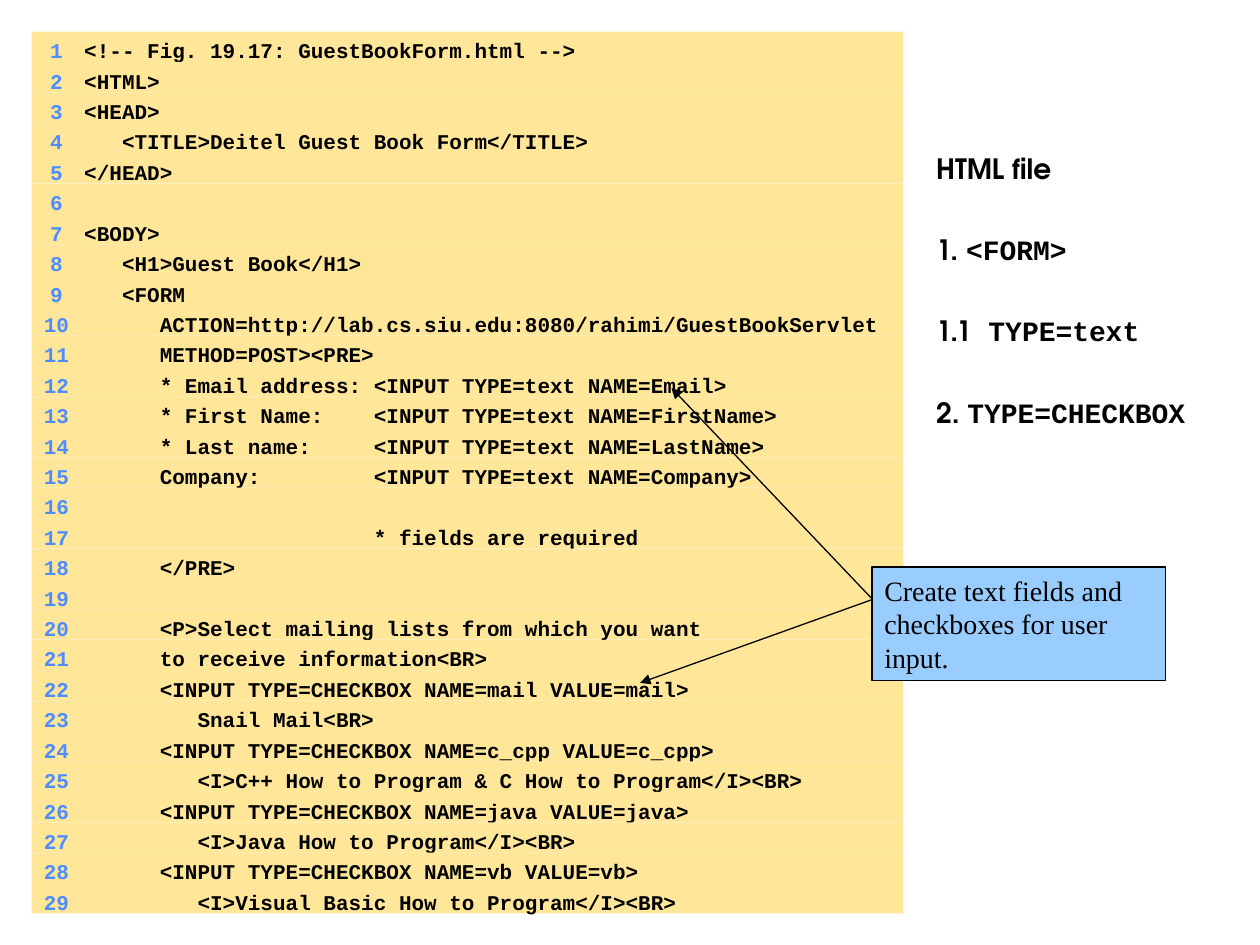
from lxml import etree
from pptx import Presentation
from pptx import util as u
from pptx.dml.color import RGBColor
from pptx.enum import shapes, text
from pptx.oxml.ns import qn

CODE = [
    "<!-- Fig. 19.17: GuestBookForm.html -->",
    "<HTML>",
    "<HEAD>",
    "   <TITLE>Deitel Guest Book Form</TITLE>",
    "</HEAD>",
    "",
    "<BODY>",
    "   <H1>Guest Book</H1>",
    "   <FORM",
    "      ACTION=http://lab.cs.siu.edu:8080/rahimi/GuestBookServlet",
    "      METHOD=POST><PRE>",
    "      * Email address: <INPUT TYPE=text NAME=Email>",
    "      * First Name:    <INPUT TYPE=text NAME=FirstName>",
    "      * Last name:     <INPUT TYPE=text NAME=LastName>",
    "      Company:         <INPUT TYPE=text NAME=Company>",
    "",
    "                       * fields are required",
    "      </PRE>",
    "",
    "      <P>Select mailing lists from which you want",
    "      to receive information<BR>",
    "      <INPUT TYPE=CHECKBOX NAME=mail VALUE=mail>",
    "         Snail Mail<BR>",
    "      <INPUT TYPE=CHECKBOX NAME=c_cpp VALUE=c_cpp>",
    "         <I>C++ How to Program & C How to Program</I><BR>",
    "      <INPUT TYPE=CHECKBOX NAME=java VALUE=java>",
    "         <I>Java How to Program</I><BR>",
    "      <INPUT TYPE=CHECKBOX NAME=vb VALUE=vb>",
    "         <I>Visual Basic How to Program</I><BR>",
]
OUTLINE = [("HTML file", ""), ("1. ", "<FORM>"), ("1.1", " TYPE=text"), ("2. ", "TYPE=CHECKBOX")]
CALLOUT = "Create text fields and checkboxes for user input."
ARROWS = [((7.08, 4.92), (5.33, 3.08)), ((7.17, 4.67), (5.08, 5.42))]
TABS = [(0.15, "r"), (0.32, "l")]

MONO, SANS, SERIF = "Courier New", "TeX Gyre Adventor", "Times New Roman"
BLACK = RGBColor(0x00, 0x00, 0x00)
NUMBER = RGBColor(0x4D, 0x8D, 0xFF)
SAND = RGBColor(0xFF, 0xE6, 0x99)
SKY = RGBColor(0x99, 0xCC, 0xFF)

W, H, MARGIN = 10, 7.5, 0.25
CODE_W = 6.92
ROW_H = (H - 2 * MARGIN) / len(CODE)


def add_run(p, content, font=MONO, size=12, color=BLACK, bold=True):
    r = p.add_run()
    r.text = content
    r.font.name, r.font.size, r.font.bold = font, u.Pt(size), bold
    r.font.color.rgb = color


def add_box(group, x, y, w, h, fill):
    sp = group.shapes.add_shape(shapes.MSO_SHAPE.RECTANGLE, *map(u.Inches, (x, y, w, h)))
    sp.shadow.inherit = False
    sp.fill.solid()
    sp.fill.fore_color.rgb = fill
    sp.line.fill.background()
    tf = sp.text_frame
    tf.word_wrap = True
    tf.vertical_anchor = text.MSO_ANCHOR.TOP
    tf.paragraphs[0].alignment = text.PP_ALIGN.LEFT
    return sp


def add_tabs(p):
    tabs = etree.SubElement(p._p.get_or_add_pPr(), qn("a:tabLst"))
    for pos, align in TABS:
        etree.SubElement(tabs, qn("a:tab"), pos=str(u.Inches(pos)), algn=align)


def add_arrow(group, start, end):
    points = map(u.Inches, start + end)
    line = group.shapes.add_connector(shapes.MSO_CONNECTOR.STRAIGHT, *points)
    line.line.color.rgb = BLACK
    line.line.width = u.Pt(0.75)
    etree.SubElement(line.line._get_or_add_ln(), qn("a:tailEnd"), type="triangle")
    etree.SubElement(line._element.spPr, qn("a:effectLst"))


def add_outline(sp):
    sp.left, sp.top, sp.width, sp.height = map(u.Inches, (7.33, 0.83, 2.67, 6.67))
    tf = sp.text_frame
    tf.word_wrap = True
    tf.auto_size = text.MSO_AUTO_SIZE.NONE
    tf.vertical_anchor = text.MSO_ANCHOR.TOP
    tf.margin_top = u.Inches(0.37)
    for i, (label, code) in enumerate(OUTLINE):
        p = tf.add_paragraph() if i else tf.paragraphs[0]
        p.alignment = text.PP_ALIGN.LEFT
        p.space_before = u.Pt(27.3 if i else 0)
        add_run(p, label, font=SANS, size=16)
        if code:
            add_run(p, code, size=16)


def main():
    prs = Presentation()
    prs.slide_width, prs.slide_height = u.Inches(W), u.Inches(H)
    s = prs.slides.add_slide(prs.slide_layouts[0])
    title = s.shapes.title._element
    title.getparent().remove(title)
    add_outline(s.placeholders[1])

    listing = s.shapes.add_group_shape()
    for i, code in enumerate(CODE):
        sp = add_box(listing, MARGIN, MARGIN + i * ROW_H, CODE_W, ROW_H, SAND)
        p = sp.text_frame.paragraphs[0]
        add_tabs(p)
        add_run(p, f"\t{i + 1}\t", color=NUMBER)
        if code:
            add_run(p, code)

    note = s.shapes.add_group_shape()
    for start, end in ARROWS:
        add_arrow(note, start, end)
    sp = add_box(note, 6.92, 4.5, 2.33, 0.9, SKY)
    sp.line.color.rgb = BLACK
    sp.line.width = u.Pt(0.75)
    add_run(sp.text_frame.paragraphs[0], CALLOUT, font=SERIF, size=16, bold=False)
    prs.save("out.pptx")


if __name__ == "__main__":
    main()
